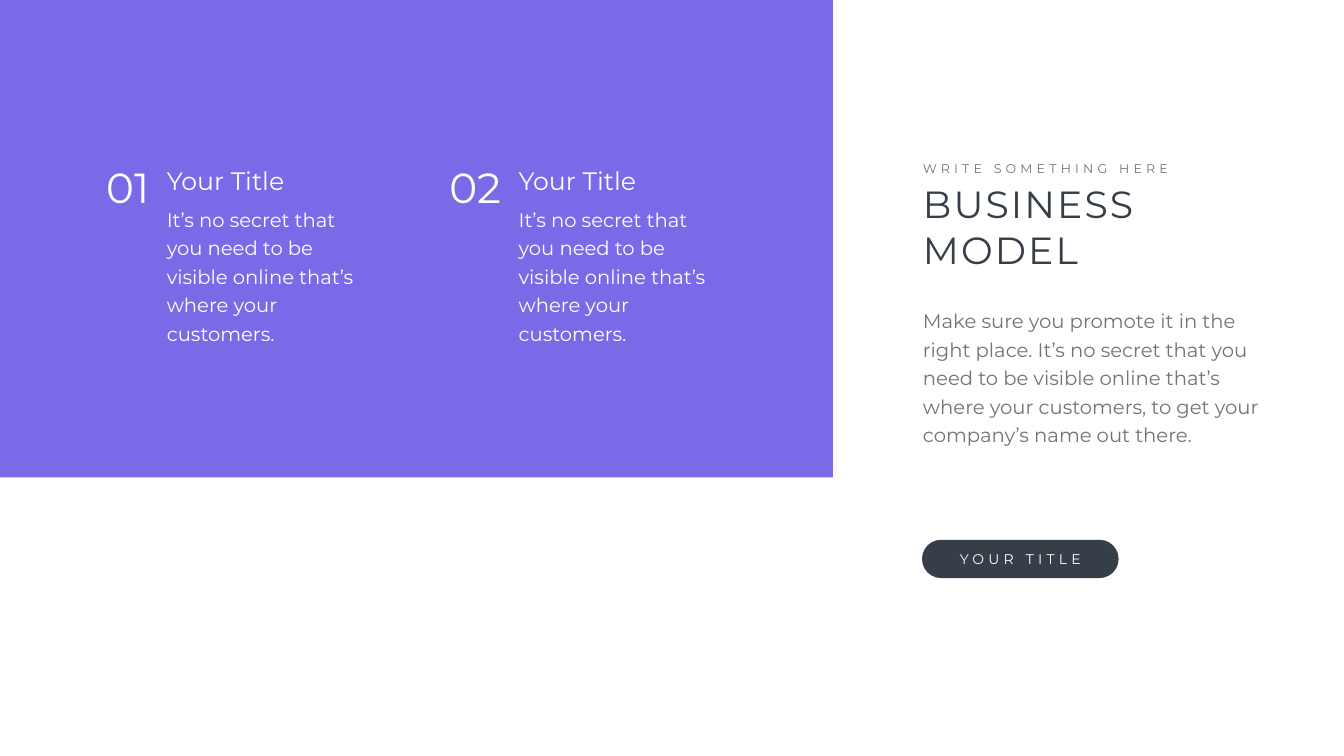
from dataclasses import dataclass

from lxml import etree
from pptx import Presentation
from pptx.dml.color import RGBColor
from pptx.enum.shapes import MSO_SHAPE
from pptx.enum.text import MSO_ANCHOR, MSO_AUTO_SIZE, PP_ALIGN
from pptx.oxml.ns import qn
from pptx.util import Inches, Pt

RECTANGLE, PILL = MSO_SHAPE.RECTANGLE, MSO_SHAPE.ROUNDED_RECTANGLE
TOP, MIDDLE = MSO_ANCHOR.TOP, MSO_ANCHOR.MIDDLE
LEFT, CENTER, RIGHT = PP_ALIGN.LEFT, PP_ALIGN.CENTER, PP_ALIGN.RIGHT
NO_AUTOFIT = MSO_AUTO_SIZE.NONE

SLIDE_W, SLIDE_H = Inches(26.66), Inches(15)
COLUMN_LEFT, COLUMN_PITCH, TEXT_OFFSET = 5.81, 26.18, 6.23
SIDE_LEFT, SIDE_WIDTH = 68.3, 25.88


@dataclass(frozen=True)
class Theme:
    """Colours, font and type sizes of the slide."""
    font: str = "Montserrat"
    accent: str = "796BE8"
    dark: str = "363E48"
    grey: str = "737572"
    white: str = "FFFFFF"
    number: int = 60
    title: int = 54
    heading: int = 36
    body: int = 28
    button: int = 20
    kicker: int = 18
    leading: float = 40.8


THEME = Theme()
ITEMS = [
    ("01", "Your Title",
     "It’s no secret that you need to be visible online that’s where your customers."),
    ("02", "Your Title",
     "It’s no secret that you need to be visible online that’s where your customers."),
]


def area(left, top, width, height):
    """Turn percentages of the slide's size into lengths."""
    return [round(share * size / 100) for share, size in
            zip((left, top, width, height), (SLIDE_W, SLIDE_H) * 2)]


def write(sp, text, size, color, align=LEFT, anchor=TOP, leading=None, tracking=0, wrap=True):
    """Write one formatted paragraph into a shape."""
    tf = sp.text_frame
    tf.word_wrap = wrap
    tf.auto_size = NO_AUTOFIT
    tf.vertical_anchor = anchor
    p = tf.paragraphs[0]
    p.alignment = align
    p.space_before = Pt(0)
    if leading:
        p.line_spacing = Pt(leading)
    r = p.add_run()
    r.text = text
    r.font.name = THEME.font
    r.font.size = Pt(size)
    r.font.color.rgb = RGBColor.from_string(color)
    if tracking:
        r.font._element.set("spc", str(tracking * 100))


def add_text(s, box, *args, **kwargs):
    """Add a text box."""
    write(s.shapes.add_textbox(*area(*box)), *args, **kwargs)


def fill_placeholder(sp, box, *args, **kwargs):
    """Move a placeholder and write unbulleted text into it."""
    sp.left, sp.top, sp.width, sp.height = area(*box)
    pPr = sp.text_frame.paragraphs[0]._p.get_or_add_pPr()
    pPr.set("marL", "0")
    pPr.set("indent", "0")
    etree.SubElement(pPr, qn("a:buNone"))
    write(sp, *args, **kwargs)


def add_block(s, kind, box, color):
    """Add a plain filled shape."""
    sp = s.shapes.add_shape(kind, *area(*box))
    sp.shadow.inherit = False
    sp.fill.solid()
    sp.fill.fore_color.rgb = RGBColor.from_string(color)
    sp.line.fill.background()
    return sp


def add_item(s, column, number, heading, body):
    """Add a numbered item in a column of the panel."""
    left = COLUMN_LEFT + column * COLUMN_PITCH
    text_left = left + TEXT_OFFSET
    add_text(s, (left, 21, 5.66, 7.4), number, THEME.number, THEME.white, align=RIGHT)
    add_text(s, (text_left, 21.53, 10.05, 4.73), heading, THEME.heading, THEME.white)
    add_text(s, (text_left, 26.47, 16.2, 15.67), body, THEME.body, THEME.white,
             leading=THEME.leading)


def add_button(s, box, label):
    """Add a pill-shaped button with a label."""
    sp = add_block(s, PILL, box, THEME.dark)
    sp.adjustments[0] = 0.5
    write(sp, label, THEME.button, THEME.white, align=CENTER, anchor=MIDDLE,
          tracking=6, wrap=False)


def main():
    """Build the business model slide."""
    prs = Presentation()
    prs.slide_width, prs.slide_height = SLIDE_W, SLIDE_H
    s = prs.slides.add_slide(prs.slide_layouts[1])
    add_block(s, RECTANGLE, (0, 0, 61.97, 63.13), THEME.accent)
    for column, item in enumerate(ITEMS):
        add_item(s, column, *item)
    add_text(s, (SIDE_LEFT, 20.93, 19.43, 2.67), "WRITE SOMETHING HERE",
             THEME.kicker, THEME.grey, tracking=6, wrap=False)
    fill_placeholder(s.shapes.title, (SIDE_LEFT, 23.6, SIDE_WIDTH, 12.8),
                     "BUSINESS MODEL", THEME.title, THEME.dark, tracking=3)
    fill_placeholder(s.placeholders[1], (SIDE_LEFT, 39.87, SIDE_WIDTH, 19.53),
                     "Make sure you promote it in the right place. It’s no secret that you "
                     "need to be visible online that’s where your customers, to get your "
                     "company’s name out there.",
                     THEME.body, THEME.grey, leading=THEME.leading)
    add_button(s, (68.6, 71.4, 14.63, 5.07), "YOUR TITLE")
    prs.save("out.pptx")


if __name__ == "__main__":
    main()
